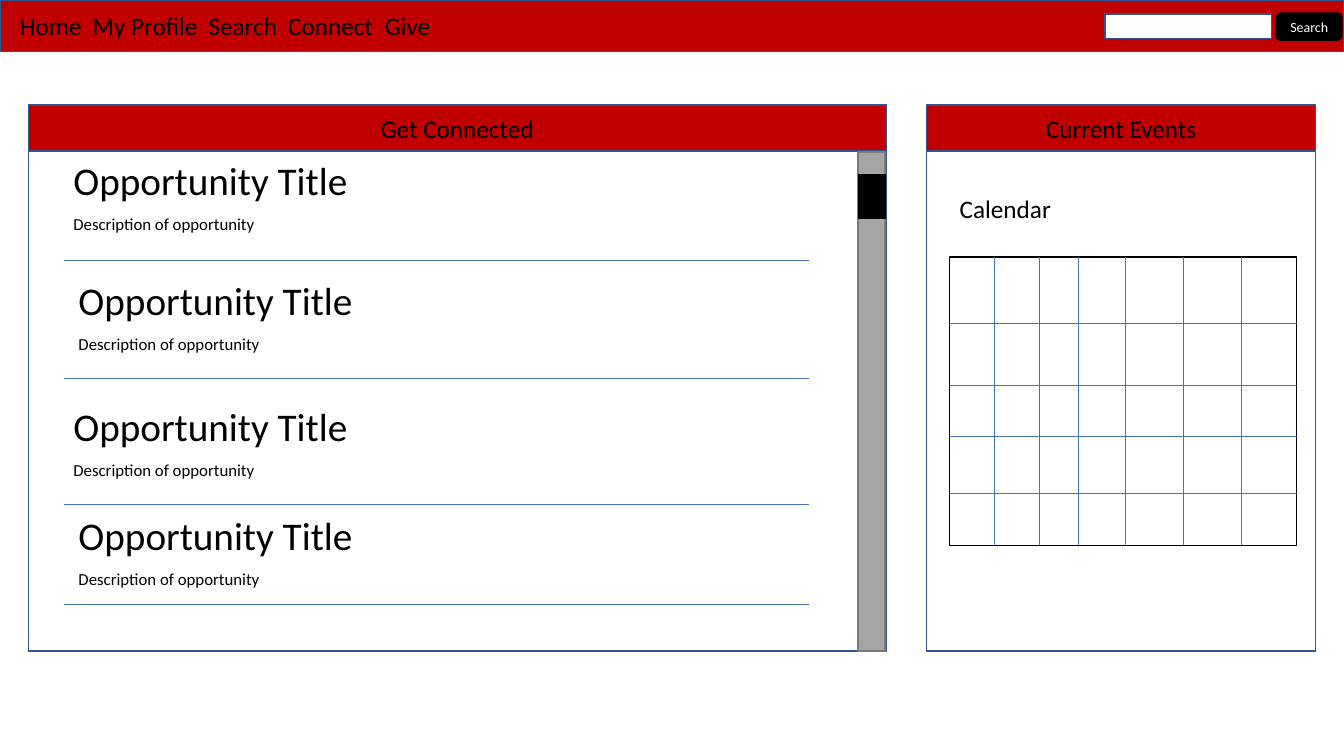
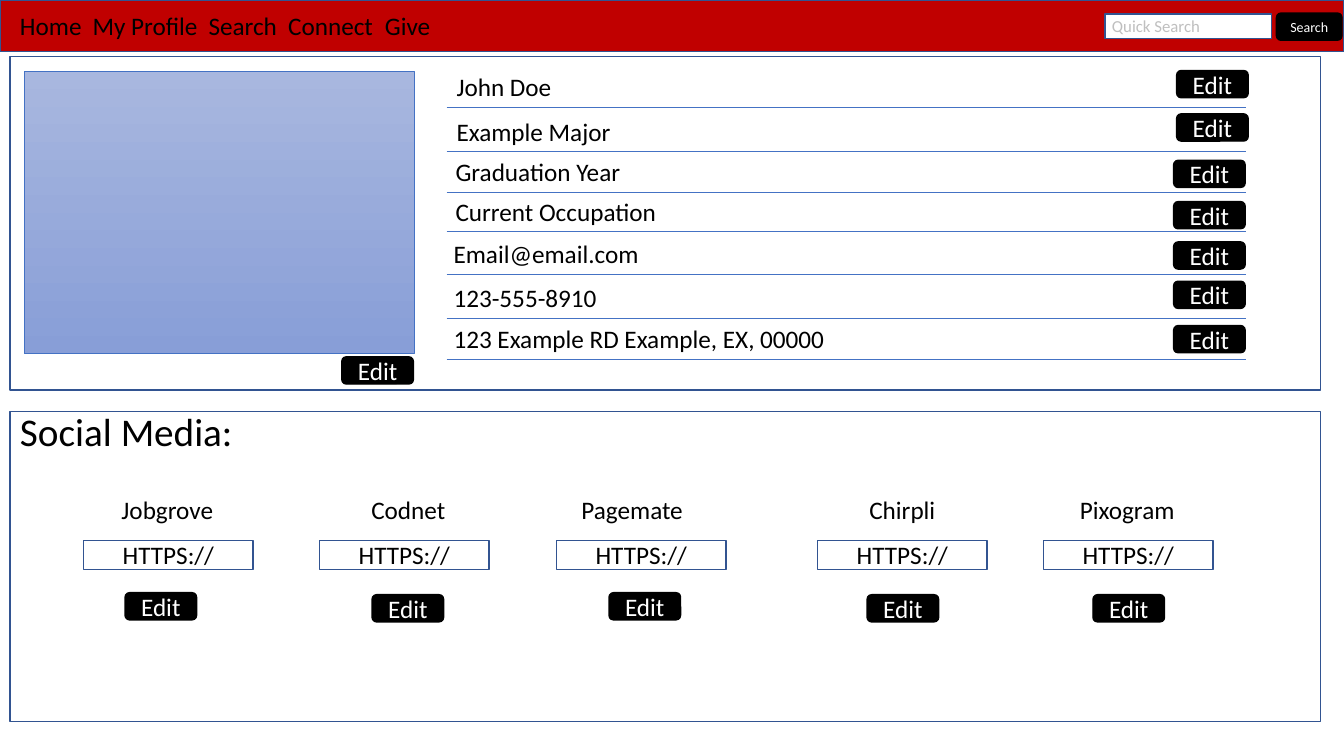
"""Build two wireframe slides of an alumni site: opportunities and profile."""
from dataclasses import dataclass

from lxml import etree
from pptx import Presentation
from pptx.dml.color import RGBColor
from pptx.enum.shapes import MSO_CONNECTOR, MSO_SHAPE
from pptx.enum.text import MSO_ANCHOR, MSO_AUTO_SIZE, PP_ALIGN
from pptx.oxml.ns import qn
from pptx.util import Inches, Pt

RECTANGLE = MSO_SHAPE.RECTANGLE
ROUNDED = MSO_SHAPE.ROUNDED_RECTANGLE
STRAIGHT = MSO_CONNECTOR.STRAIGHT
MIDDLE = MSO_ANCHOR.MIDDLE
FIT_SHAPE = MSO_AUTO_SIZE.SHAPE_TO_FIT_TEXT
LEFT = PP_ALIGN.LEFT
CENTER = PP_ALIGN.CENTER


@dataclass(frozen=True)
class Theme:
    """Colours, font and type sizes shared by the slides."""

    font: str = "Calibri"
    band: str = "C00000"
    border: str = "325491"
    rule: str = "4472C4"
    black: str = "000000"
    white: str = "FFFFFF"
    hint: str = "BFBFBF"
    track: str = "A5A5A5"
    track_border: str = "7A7A7A"
    photo_top: str = "A8B7DF"
    photo_bottom: str = "889ED7"
    heading: int = 28
    body: int = 18
    small: int = 12
    tiny: int = 10
    outline: float = 1
    hairline: float = 0.5


class Wireframe:
    """Draws page elements on the current slide in one theme."""

    def __init__(self, presentation, theme):
        """Keep the presentation and the theme."""
        self.presentation = presentation
        self.theme = theme
        self.slide = None

    def start_slide(self):
        """Add a blank slide with the navigation bar."""
        layout = self.presentation.slide_layouts.get_by_name("Blank")
        self.slide = self.presentation.slides.add_slide(layout)
        self.navigation()

    def add_text(self, frame, text, size, color, align):
        """Add one formatted run to a text frame."""
        paragraph = frame.paragraphs[0]
        paragraph.alignment = align
        run = paragraph.add_run()
        run.text = text
        run.font.name = self.theme.font
        run.font.size = Pt(size)
        run.font.color.rgb = RGBColor.from_string(color)
        return paragraph

    def box(self, left, top, width, height, fill=None, line=None, kind=RECTANGLE):
        """Draw a filled, outlined shape, by default a white panel."""
        shape = self.slide.shapes.add_shape(
            kind, Inches(left), Inches(top), Inches(width), Inches(height))
        shape.shadow.inherit = False
        shape.fill.solid()
        shape.fill.fore_color.rgb = RGBColor.from_string(fill or self.theme.white)
        shape.line.color.rgb = RGBColor.from_string(line or self.theme.border)
        shape.line.width = Pt(self.theme.outline)
        return shape

    def caption(self, shape, text, size=None, color=None):
        """Centre a caption in a shape."""
        frame = shape.text_frame
        frame.word_wrap = True
        frame.vertical_anchor = MIDDLE
        self.add_text(frame, text, size or self.theme.body,
                      color or self.theme.black, CENTER)

    def label(self, text, left, top, width, size=None, color=None, align=LEFT):
        """Place one line of text and return its paragraph."""
        size = size or self.theme.body
        text_box = self.slide.shapes.add_textbox(
            Inches(left), Inches(top), Inches(width), Inches(0.1 + size / 60))
        frame = text_box.text_frame
        frame.word_wrap = True
        frame.auto_size = FIT_SHAPE
        return self.add_text(frame, text, size, color or self.theme.black, align)

    def button(self, left, top, text="Edit", width=0.71, size=None):
        """Draw a black rounded button."""
        shape = self.box(left, top, width, 0.27, self.theme.black,
                         self.theme.black, ROUNDED)
        self.caption(shape, text, size, self.theme.white)

    def rule(self, x1, y1, x2, y2):
        """Draw a thin straight line."""
        connector = self.slide.shapes.add_connector(
            STRAIGHT, Inches(x1), Inches(y1), Inches(x2), Inches(y2))
        connector.line.color.rgb = RGBColor.from_string(self.theme.rule)
        connector.line.width = Pt(self.theme.hairline)
        etree.SubElement(connector._element.spPr, qn("a:effectLst"))

    def navigation(self):
        """Draw the top bar with its menu and search field."""
        self.box(0, 0, 13.33, 0.51, self.theme.band)
        self.box(10.96, 0.14, 1.65, 0.24)
        menu = ("Home", "My Profile", "Search", "Connect", "Give")
        paragraph = self.label("\t".join(menu), 0.1, 0.05, 4.6)
        tabs = etree.SubElement(paragraph._p.get_or_add_pPr(), qn("a:tabLst"))
        for position in (0.72, 1.87, 2.66, 3.62):
            etree.SubElement(tabs, qn("a:tab"), pos=str(Inches(position)), algn="l")
        self.button(12.66, 0.13, "Search", 0.65, self.theme.tiny)

    def titled_panel(self, title, left, width):
        """Draw a panel with a coloured title band."""
        self.box(left, 1.04, width, 5.42)
        band = self.box(left, 1.04, width, 0.46, self.theme.band)
        self.caption(band, title)

    def opportunity(self, left, top, rule_y):
        """Draw one opportunity with the line below it."""
        self.label("Opportunity Title", left, top, 2.99, self.theme.heading)
        self.label("Description of opportunity", left, top + 0.57, 7.39,
                   self.theme.small)
        self.rule(0.63, rule_y, 8.02, rule_y)

    def scrollbar(self):
        """Draw the scroll track and its thumb."""
        self.box(8.51, 1.51, 0.27, 4.95, self.theme.track, self.theme.track_border)
        self.box(8.52, 1.73, 0.26, 0.44, self.theme.black, self.theme.black)

    def calendar(self, left, top, width, height, columns, rows):
        """Draw a calendar grid with lines at the given places."""
        self.box(left, top, width, height, line=self.theme.black)
        for x in columns:
            self.rule(x, top, x, top + height)
        for y in rows:
            self.rule(left, y, left + width, y)

    def photo(self, left, top, width, height):
        """Draw the photo area with a vertical gradient."""
        shape = self.box(left, top, width, height, line=self.theme.rule)
        shape.line.width = Pt(self.theme.hairline)
        shape.fill.gradient()
        shape.fill.gradient_angle = 270
        colors = (self.theme.photo_top, self.theme.photo_bottom)
        for stop, color in zip(shape.fill.gradient_stops, colors):
            stop.color.rgb = RGBColor.from_string(color)

    def profile_row(self, text, left, top, rule_y, button_left, button_top):
        """Draw one profile entry with its line and button."""
        self.label(text, left, top, 4.2)
        self.rule(4.43, rule_y, 12.36, rule_y)
        self.button(button_left, button_top)

    def social_link(self, name, center, field_left, button_left, button_top):
        """Draw one network name with its address field and button."""
        self.label(name, center - 0.85, 4.86, 1.7, align=CENTER)
        self.caption(self.box(field_left, 5.36, 1.68, 0.29), "HTTPS://")
        self.button(button_left, button_top)


def opportunities_slide(page):
    """Build the slide with opportunities and the calendar."""
    page.start_slide()
    page.titled_panel("Get Connected", 0.28, 8.51)
    page.titled_panel("Current Events", 9.19, 3.86)
    for left, top, rule_y in ((0.63, 1.5, 2.58), (0.68, 2.69, 3.75),
                              (0.63, 3.94, 5), (0.68, 5.02, 6)):
        page.opportunity(left, top, rule_y)
    page.scrollbar()
    page.label("Calendar", 9.42, 1.87, 1.19)
    page.calendar(9.42, 2.55, 3.44, 2.86,
                  (9.86, 10.31, 10.7, 11.16, 11.74, 12.31),
                  (3.21, 3.82, 4.33, 4.89))


def profile_slide(page):
    """Build the slide with the profile and social links."""
    page.start_slide()
    page.label("Quick Search", 10.93, 0.11, 1.3, page.theme.small, page.theme.hint)
    page.box(0.1, 0.56, 13, 3.31)
    page.photo(0.24, 0.71, 3.87, 2.8)
    page.button(3.39, 3.54)
    for row in (
        ("John Doe", 4.43, 0.66, 1.07, 11.67, 0.7),
        ("Example Major", 4.43, 1.1, 1.5, 11.67, 1.13),
        ("Graduation Year", 4.42, 1.5, 1.91, 11.64, 1.59),
        ("Current Occupation", 4.42, 1.9, 2.3, 11.64, 2),
        ("Email@email.com", 4.4, 2.32, 2.72, 11.64, 2.4),
        ("123-555-8910", 4.4, 2.75, 3.16, 11.64, 2.79),
        ("123 Example RD Example, EX, 00000", 4.4, 3.16, 3.57, 11.64, 3.23),
    ):
        page.profile_row(*row)
    page.box(0.1, 4.08, 13, 3.08)
    page.label("Social Media:", 0.1, 3.99, 3, page.theme.heading)
    for link in (
        ("Jobgrove", 1.66, 0.83, 1.24, 5.88),
        ("Codnet", 4.05, 3.17, 3.69, 5.9),
        ("Pagemate", 6.27, 5.52, 6.04, 5.88),
        ("Chirpli", 8.95, 8.11, 8.6, 5.9),
        ("Pixogram", 11.18, 10.35, 10.84, 5.9),
    ):
        page.social_link(*link)


def main():
    """Build and save the presentation."""
    presentation = Presentation()
    presentation.slide_width = Inches(13.33)
    presentation.slide_height = Inches(7.5)
    page = Wireframe(presentation, Theme())
    opportunities_slide(page)
    profile_slide(page)
    presentation.save("out.pptx")


if __name__ == "__main__":
    main()
